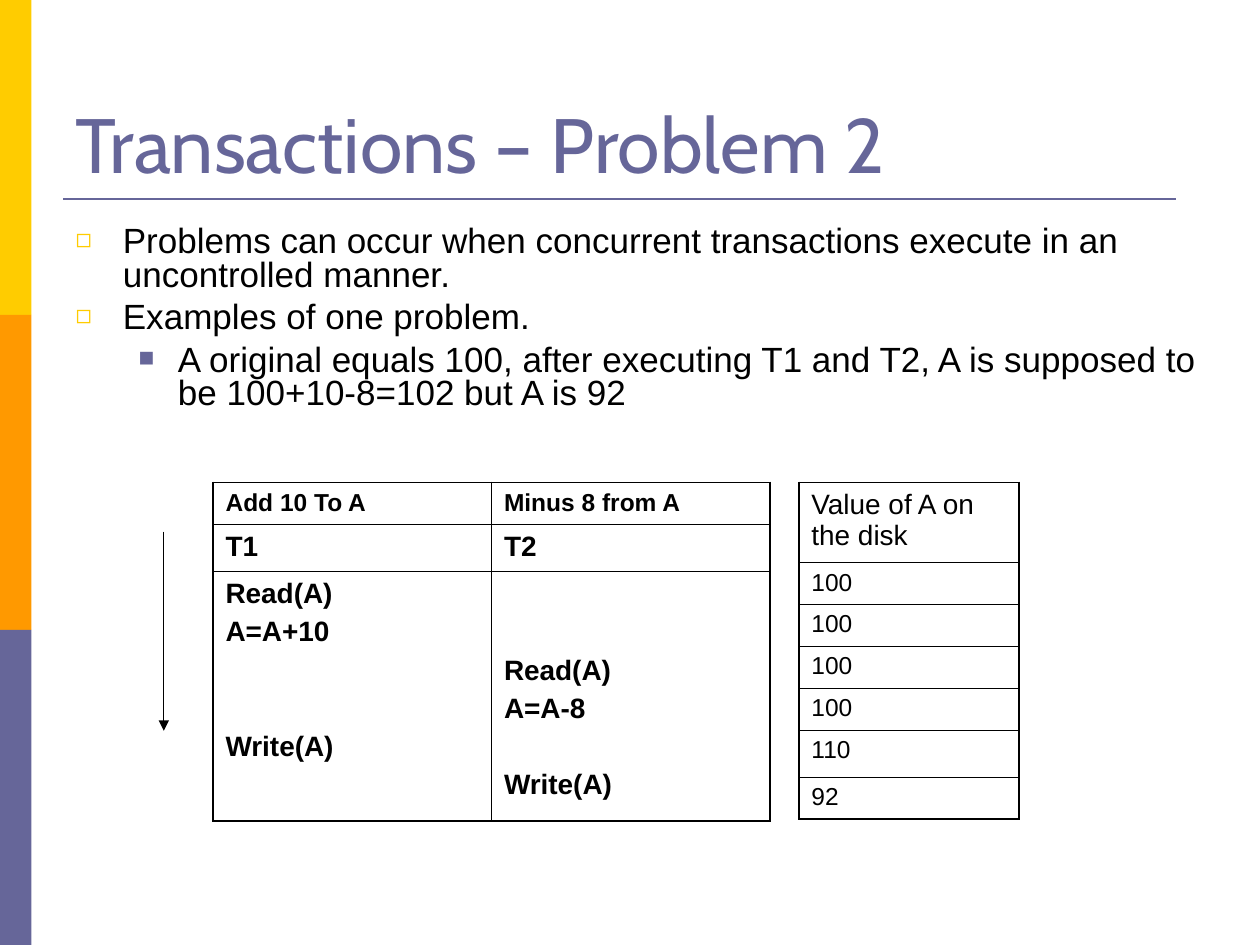
import pptx
import pptx.util
import pptx.dml.color
import pptx.enum.shapes
import pptx.enum.text
import pptx.oxml
import pptx.oxml.ns
from lxml import etree

Pt = pptx.util.Pt
RGB = pptx.dml.color.RGBColor
GOLD = RGB(0xFF, 0xCC, 0x00)
AMBER = RGB(0xFF, 0x99, 0x00)
SLATE = RGB(0x66, 0x66, 0x99)
BLACK = RGB(0, 0, 0)
qn = pptx.oxml.ns.qn

deck = pptx.Presentation()
deck.slide_width = pptx.util.Inches(10)
deck.slide_height = pptx.util.Inches(7.5)
slide = deck.slides.add_slide(deck.slide_layouts[1])
shapes = slide.shapes
COL = deck.slide_width / 40
ROW = deck.slide_height / 30


def grid(x, y, w, h):
    """Turn grid columns and rows into a left, top, width, height in EMU."""
    return round(x * COL), round(y * ROW), round(w * COL), round(h * ROW)


def table(x, y, cols, rows, cells, bold):
    """Draw a ruled table; each cell is a list of (line, size, blank lines above)."""
    place = grid(x, y, sum(cols), sum(rows))
    tab = shapes.add_table(len(rows), len(cols), *place).table
    tab.first_row = tab.horz_banding = False
    for c, w in enumerate(cols):
        tab.columns[c].width = round(w * COL)
    for r, h in enumerate(rows):
        tab.rows[r].height = round(h * ROW)
        for c in range(len(cols)):
            cell = tab.cell(r, c)
            cell.fill.background()
            outer = {"L": c == 0, "R": c == len(cols) - 1,
                     "T": r == 0, "B": r == len(rows) - 1}
            for i, (side, thick) in enumerate(outer.items()):
                width = Pt(1.08 if thick else 0.45)
                cell._tc.get_or_add_tcPr().insert(i, pptx.oxml.parse_xml(
                    f'<a:ln{side} {pptx.oxml.ns.nsdecls("a")} w="{width}"><a:solidFill>'
                    f'<a:srgbClr val="{BLACK}"/></a:solidFill></a:ln{side}>'))
            for i, (line, size, skip) in enumerate(cells[r][c]):
                frame = cell.text_frame
                para = frame.add_paragraph() if i else frame.paragraphs[0]
                para.text = line
                para.font.size = Pt(size)
                para.font.name = "Arial"
                para.font.bold = bold
                para.font.color.rgb = BLACK
                if i:
                    para.space_before = Pt(4 + 22 * skip)
                else:
                    cell.margin_top = Pt(3.6 + 22 * skip)


# Side bars and title rule
for i, color in enumerate([GOLD, AMBER, SLATE]):
    bar = shapes.add_shape(pptx.enum.shapes.MSO_SHAPE.RECTANGLE, *grid(0, 10 * i, 1, 10))
    bar.fill.solid()
    bar.fill.fore_color.rgb = color
    bar.line.fill.background()
    bar.shadow.inherit = False

# Title rule and time arrow
for x, y, w, h, color, width in [(2, 6.32, 35.32, 0, SLATE, 1.5),
                                 (5.2, 16.88, 0, 6.32, BLACK, 0.75)]:
    left, top, wide, tall = grid(x, y, w, h)
    line = shapes.add_connector(pptx.enum.shapes.MSO_CONNECTOR.STRAIGHT,
                                left, top, left + wide, top + tall)
    line.line.color.rgb = color
    line.line.width = Pt(width)
    etree.SubElement(line._element.spPr, qn("a:effectLst"))
etree.SubElement(line.line._get_or_add_ln(), qn("a:tailEnd"), type="triangle")

# Title
title = shapes.title
title.left, title.top, title.width, title.height = grid(2, 1.2, 36, 5)
title.text_frame.text = "Transactions – Problem 2"
title.text_frame.vertical_anchor = pptx.enum.text.MSO_ANCHOR.BOTTOM
para = title.text_frame.paragraphs[0]
para.alignment = pptx.enum.text.PP_ALIGN.LEFT
para.font.size = Pt(44)
para.font.name = "Cabin"
para.font.color.rgb = SLATE

# Bullet list
body = slide.placeholders[1]
body.left, body.top, body.width, body.height = grid(2, 7, 36.92, 6.76)
points = [
    (0, "Problems can occur when concurrent transactions execute in an uncontrolled manner."),
    (0, "Examples of one problem."),
    (1, "A original equals 100, after executing T1 and T2, A is supposed to "
        "be 100+10-8=102 but A is 92"),
]
marks = [("◻", GOLD, 27, 27), ("■", SLATE, 58.5, 22.5)]
for i, (level, text) in enumerate(points):
    frame = body.text_frame
    para = frame.add_paragraph() if i else frame.paragraphs[0]
    para.text = text
    para.level = level
    para.line_spacing = 0.8
    para.space_before = Pt(5 if i else 0)
    mark, color, left, hang = marks[level]
    props = para._p.get_or_add_pPr()
    props.set("marL", str(Pt(left)))
    props.set("indent", str(-Pt(hang)))
    tint = etree.SubElement(props, qn("a:buClr"))
    etree.SubElement(tint, qn("a:srgbClr"), val=str(color))
    etree.SubElement(props, qn("a:buSzPct"), val="75000")
    etree.SubElement(props, qn("a:buChar"), char=mark)
    para.font.size = Pt(20)
    para.font.name = "Arial"
    para.font.color.rgb = BLACK

# Schedule of the two transactions
steps = [
    [[("Add 10 To A", 14, 0)], [("Minus 8 from A", 14, 0)]],
    [[("T1", 16, 0)], [("T2", 16, 0)]],
    [[("Read(A)", 16, 0), ("A=A+10", 16, 0), ("Write(A)", 16, 2)],
     [("Read(A)", 16, 2), ("A=A-8", 16, 0), ("Write(A)", 16, 1)]],
]
table(6.76, 15.32, [8.84, 8.84], [1.34, 1.49, 7.91], steps, True)

# Stored value after each step
disk = [[[("Value of A on the disk", 16, 0)]]]
disk += [[[(value, 14, 0)]] for value in ["100", "100", "100", "100", "110", "92"]]
table(25.36, 15.32, [6.98], [2.54] + [1.33] * 4 + [1.5, 1.33], disk, False)

deck.save("out.pptx")
